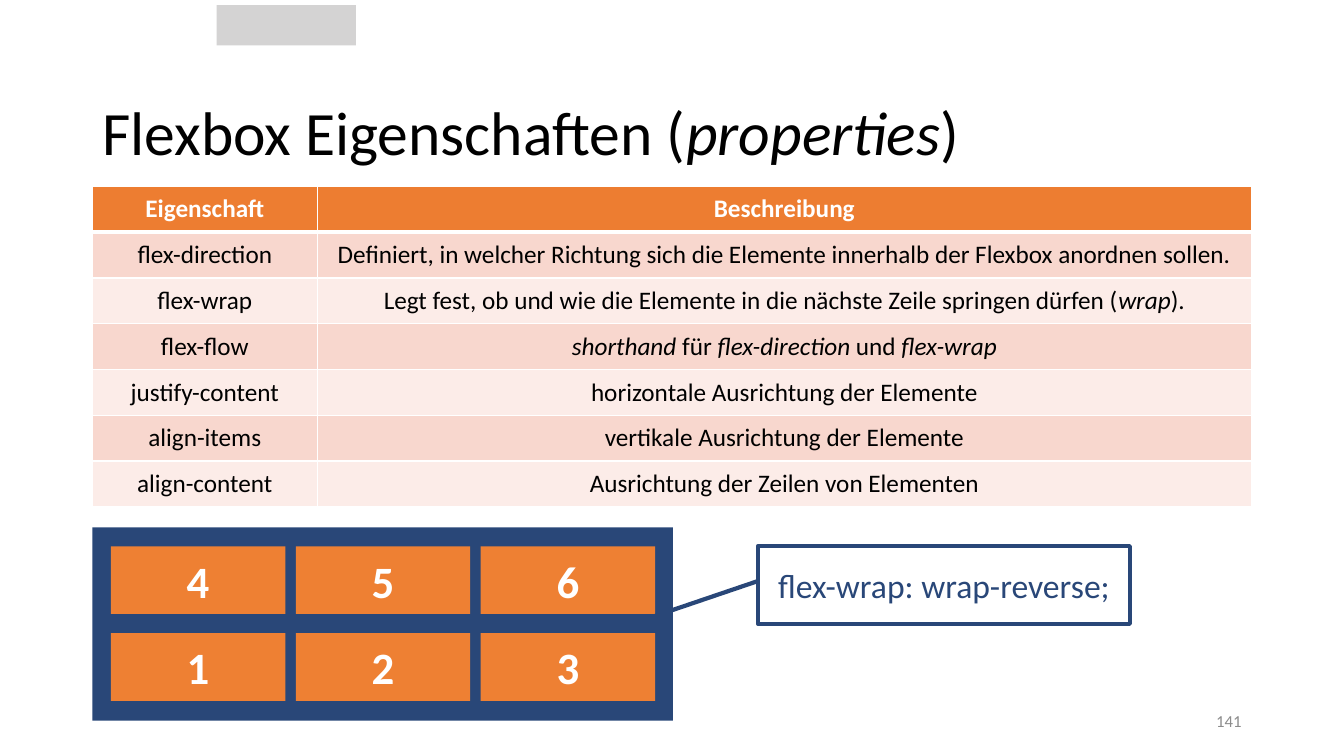
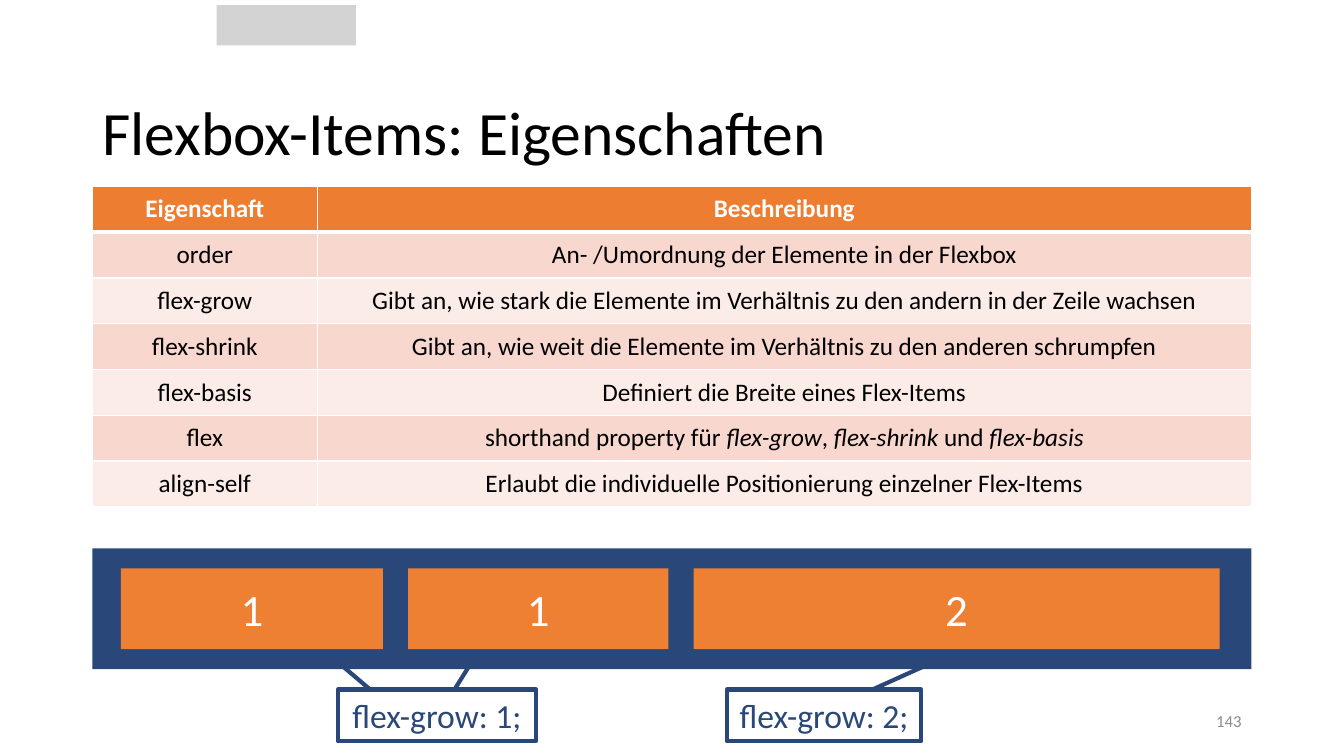
from lxml.etree import SubElement
from pptx import Presentation
from pptx.dml.color import RGBColor
from pptx.enum.shapes import MSO_CONNECTOR, MSO_SHAPE
from pptx.enum.text import MSO_ANCHOR, PP_ALIGN
from pptx.oxml import parse_xml
from pptx.oxml.ns import nsdecls, qn
from pptx.util import Pt

FONT = "Calibri"
COLORS = {
    "text": "000000", "white": "FFFFFF", "page": "8C8C8C", "badge": "D4D3D3",
    "header": "ED7D31", "odd": "F8D7CE", "even": "FCECE8",
    "container": "294778", "item": "EE8033",
}
LEFT, WIDTH = 66, 828
TABLE_TOP, ROW_HEIGHT = 133.2, 32.7
COLUMN_WIDTHS = (160.6, 667.4)
HEADINGS = ("Eigenschaft", "Beschreibung")

CONTAINER_PROPERTIES = {
    "title": "Flexbox Eigenschaften (*properties*)",
    "page": "141",
    "rows": [
        ("flex-direction", "Definiert, in welcher Richtung sich die Elemente innerhalb der Flexbox anordnen sollen."),
        ("flex-wrap", "Legt fest, ob und wie die Elemente in die nächste Zeile springen dürfen (*wrap*)."),
        ("flex-flow", "*shorthand* für *flex-direction* und *flex-wrap*"),
        ("justify-content", "horizontale Ausrichtung der Elemente"),
        ("align-items", "vertikale Ausrichtung der Elemente"),
        ("align-content", "Ausrichtung der Zeilen von Elementen"),
    ],
    "container": (LEFT, 376.6, 414.7, 138.2),
    "items": {
        "lines": [("4", "5", "6"), ("1", "2", "3")],
        "widths": (124.6, 124.6, 124.6), "height": 48.4,
        "left": 79.2, "top": 390.2, "gap": 7.5, "pitch": 62, "bold": True,
    },
    "callouts": [
        ("flex-wrap: wrap-reverse;", (541.4, 390.2, 265.7, 55.4), (0.446, 0.002, 0.935, -0.298)),
    ],
    "pointers": [],
}
ITEM_PROPERTIES = {
    "title": "Flexbox-Items: Eigenschaften",
    "page": "143",
    "rows": [
        ("order", "An- /Umordnung der Elemente in der Flexbox"),
        ("flex-grow", "Gibt an, wie stark die Elemente im Verhältnis zu den andern in der Zeile wachsen"),
        ("flex-shrink", "Gibt an, wie weit die Elemente im Verhältnis zu den anderen schrumpfen"),
        ("flex-basis", "Definiert die Breite eines Flex-Items"),
        ("flex", "shorthand property für *flex-grow*, *flex-shrink* und *flex-basis*"),
        ("align-self", "Erlaubt die individuelle Positionierung einzelner Flex-Items"),
    ],
    "container": (LEFT, 391.7, WIDTH, 86.4),
    "items": {
        "lines": [("1", "1", "2")],
        "widths": (187.2, 185.8, 375.8), "height": 57.6,
        "left": 86.4, "top": 406.1, "gap": 18, "pitch": 0, "bold": False,
    },
    "callouts": [
        ("flex-grow: 1;", (241.2, 492.5, 141.8, 36.7), (0.005, 0.165, -0.546, -0.003)),
        ("flex-grow: 2;", (519.1, 492.5, 139, 36.7), (0.005, 0.747, -0.572, 1.084)),
    ],
    "pointers": [(324.7, 492.5, 337.7, 471.6)],
}


def points(values):
    return [Pt(value) for value in values]


def rgb(name):
    return RGBColor.from_string(COLORS[name])


def write(frame, text, size, color, align=PP_ALIGN.CENTER, bold=False):
    frame.vertical_anchor = MSO_ANCHOR.MIDDLE
    paragraph = frame.paragraphs[0]
    paragraph.alignment = align
    for index, part in enumerate(text.split("*")):
        if part:
            run = paragraph.add_run()
            run.text = part
            run.font.name = FONT
            run.font.size = Pt(size)
            run.font.bold = bold
            run.font.italic = index % 2 == 1
            run.font.color.rgb = rgb(color)
    return paragraph


def add_text(slide, box, text, size, color, align, top_inset=3.6):
    frame = slide.shapes.add_textbox(*points(box)).text_frame
    frame.word_wrap = True
    frame.margin_top = Pt(top_inset)
    return write(frame, text, size, color, align)


def add_block(slide, box, fill):
    block = slide.shapes.add_shape(MSO_SHAPE.RECTANGLE, *points(box))
    block.shadow.inherit = False
    block.fill.solid()
    block.fill.fore_color.rgb = rgb(fill)
    block.line.fill.background()
    return block


def outline(line):
    line.color.rgb = rgb("container")
    line.width = Pt(3)


def set_borders(cell, row):
    heavy = {0: "lnB", 1: "lnT"}.get(row)
    properties = cell._tc.get_or_add_tcPr()
    for index, side in enumerate(("lnL", "lnR", "lnT", "lnB")):
        width = Pt(3 if side == heavy else 1)
        properties.insert(index, parse_xml(
            f'<a:{side} {nsdecls("a")} w="{width}"><a:solidFill>'
            f'<a:srgbClr val="{COLORS["white"]}"/></a:solidFill></a:{side}>'))


def add_properties(slide, rows):
    lines = [HEADINGS, *rows]
    box = points((LEFT, TABLE_TOP, WIDTH, ROW_HEIGHT * len(lines)))
    table = slide.shapes.add_table(len(lines), len(HEADINGS), *box).table
    for column, width in zip(table.columns, COLUMN_WIDTHS):
        column.width = Pt(width)
    for row, texts in enumerate(lines):
        table.rows[row].height = Pt(ROW_HEIGHT)
        header = row == 0
        fill = "header" if header else "odd" if row % 2 else "even"
        for column, text in enumerate(texts):
            cell = table.cell(row, column)
            cell.fill.solid()
            cell.fill.fore_color.rgb = rgb(fill)
            set_borders(cell, row)
            write(cell.text_frame, text, 18, "white" if header else "text", bold=header)
            cell.vertical_anchor = MSO_ANCHOR.MIDDLE


def add_items(slide, items):
    for row, labels in enumerate(items["lines"]):
        left = items["left"]
        top = items["top"] + row * items["pitch"]
        for label, width in zip(labels, items["widths"]):
            item = add_block(slide, (left, top, width, items["height"]), "item")
            write(item.text_frame, label, 32, "white", bold=items["bold"])
            left += width + items["gap"]


def add_callout(slide, text, box, anchors):
    callout = slide.shapes.add_shape(MSO_SHAPE.LINE_CALLOUT_1, *points(box))
    callout.shadow.inherit = False
    callout.fill.background()
    outline(callout.line)
    for index, anchor in enumerate(anchors):
        callout.adjustments[index] = anchor
    write(callout.text_frame, text, 24, "container")


def add_pointer(slide, ends):
    pointer = slide.shapes.add_connector(MSO_CONNECTOR.STRAIGHT, *points(ends))
    outline(pointer.line)
    SubElement(pointer._element.spPr, qn("a:effectLst"))


def build_slide(deck, content):
    slide = deck.slides.add_slide(deck.slide_layouts[6])
    add_block(slide, (154.8, 3.6, 99.4, 28.8), "badge")
    title = add_text(slide, (LEFT, 36, WIDTH, 97.2), content["title"], 44, "text", PP_ALIGN.LEFT, 28.1)
    title.line_spacing = 0.9
    add_text(slide, (678, 500.4, 216, 28.8), content["page"], 12, "page", PP_ALIGN.RIGHT)
    add_properties(slide, content["rows"])
    add_block(slide, content["container"], "container")
    add_items(slide, content["items"])
    for callout in content["callouts"]:
        add_callout(slide, *callout)
    for ends in content["pointers"]:
        add_pointer(slide, ends)


def main():
    deck = Presentation()
    deck.slide_width, deck.slide_height = Pt(960), Pt(540)
    for content in (CONTAINER_PROPERTIES, ITEM_PROPERTIES):
        build_slide(deck, content)
    deck.save("out.pptx")


if __name__ == "__main__":
    main()
